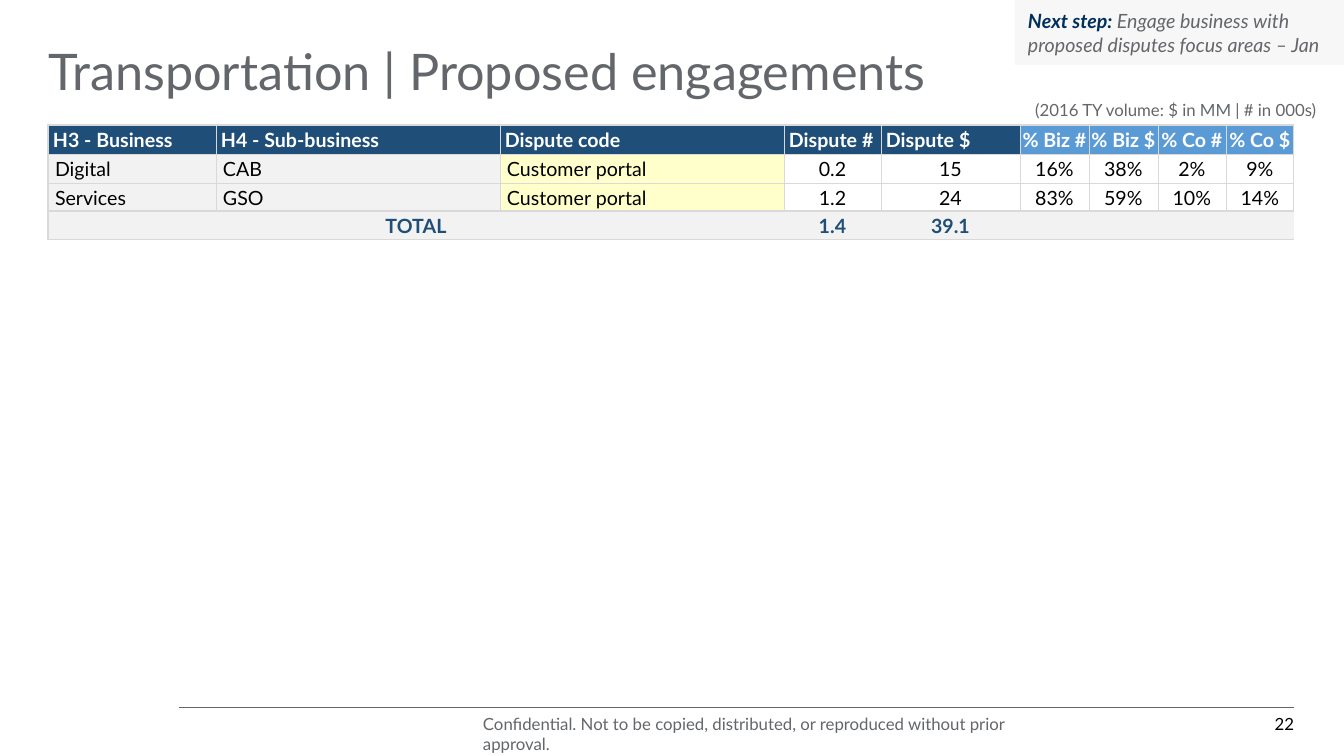
from lxml.etree import SubElement
from pptx import Presentation
from pptx.dml.color import RGBColor
from pptx.enum.shapes import MSO_CONNECTOR, MSO_SHAPE
from pptx.enum.text import MSO_ANCHOR, PP_ALIGN
from pptx.oxml.ns import qn
from pptx.util import Emu, Pt

GRAY, BLACK, WHITE = "63666A", "000000", "FFFFFF"
NAVY, BLUE, PALE, YELLOW, BORDER = "1F4E78", "5B9BD5", "F2F2F2", "FFFFCC", "D9D9D9"
LEFT, CENTER, RIGHT = PP_ALIGN.LEFT, PP_ALIGN.CENTER, PP_ALIGN.RIGHT
SCALE = 914400 / 100.8


def px(*lengths):
    return [Emu(round(length * SCALE)) for length in lengths]


def write(para, align, size, runs):
    para.alignment = align
    for text, color, bold, italic in runs:
        span = para.add_run()
        span.text = text
        span.font.name = "Lato"
        span.font.size = Pt(size)
        span.font.bold = bold
        span.font.italic = italic
        span.font.color.rgb = RGBColor.from_string(color)


deck = Presentation()
deck.slide_width, deck.slide_height = px(1344, 756)
page = deck.slides.add_slide(deck.slide_layouts[6])

footer_line = page.shapes.add_connector(MSO_CONNECTOR.STRAIGHT, *px(179, 707, 1294, 707))
footer_line.line.color.rgb = RGBColor.from_string(GRAY)
footer_line.line.width = Pt(0.25)
SubElement(footer_line._element.spPr, qn("a:effectLst"))

column_widths = [168, 284, 284, 97, 139, 69, 69, 68, 68]
row_heights = [29, 29, 28, 29]
table_rows = [
    ["H3 - Business", "H4 - Sub-business", "Dispute code", "Dispute #", "Dispute $",
     "% Biz #", "% Biz $", "% Co #", "% Co $"],
    ["Digital", "CAB", "Customer portal", "0.2", "15", "16%", "38%", "2%", "9%"],
    ["Services", "GSO", "Customer portal", "1.2", "24", "83%", "59%", "10%", "14%"],
    ["TOTAL", "", "", "1.4", "39.1", "", "", "", ""],
]
last_row, last_column = len(row_heights) - 1, len(column_widths) - 1

frame = page.shapes.add_table(
    len(row_heights), len(column_widths),
    *px(48, 125, sum(column_widths), sum(row_heights)))
table = frame.table
table.first_row = table.horz_banding = False
for column, width in zip(table.columns, px(*column_widths)):
    column.width = width
for row, height in zip(table.rows, px(*row_heights)):
    row.height = height
for first, last in [(0, 2), (5, 6), (7, 8)]:
    table.cell(last_row, first).merge(table.cell(last_row, last))

for row_index, values in enumerate(table_rows):
    header, total = row_index == 0, row_index == last_row
    for column_index, value in enumerate(values):
        cell = table.cell(row_index, column_index)
        align, indent = CENTER, 1
        if header:
            fill, color = (NAVY if column_index < 5 else BLUE), WHITE
            if column_index < 5:
                align, indent = LEFT, 5
        elif total:
            fill, color = PALE, NAVY
        else:
            fill, color = [PALE, PALE, YELLOW, None][min(column_index, 3)], BLACK
            if column_index < 3:
                align, indent = LEFT, 7
        cell.margin_left, cell.margin_top, cell.margin_right, cell.margin_bottom = px(indent, 1, 1, 0)
        cell.vertical_anchor = MSO_ANCHOR.MIDDLE
        para = cell.text_frame.paragraphs[0]
        if value:
            write(para, align, 14, [(value, color, header or total, False)])
        else:
            SubElement(para._p, qn("a:endParaRPr"), sz="1400")

        widths = {
            "a:lnL": 1 if column_index == 0 else 0 if total else 0.5,
            "a:lnR": 0 if total else 1 if column_index == last_column else 0.5,
            "a:lnT": 1 if header or total else 0.5,
            "a:lnB": 1 if row_index >= last_row - 1 else 0.5,
        }
        properties = cell._tc.get_or_add_tcPr()
        for tag, width in widths.items():
            edge = SubElement(properties, qn(tag), w=str(Pt(width)))
            if width:
                solid = SubElement(edge, qn("a:solidFill"))
                SubElement(solid, qn("a:srgbClr"), val=BORDER)
            else:
                SubElement(edge, qn("a:noFill"))
        if fill:
            cell.fill.solid()
            cell.fill.fore_color.rgb = RGBColor.from_string(fill)
        else:
            cell.fill.background()

panels = [
    (MSO_SHAPE.RECTANGLE, (1015, 100, 322, 20), WHITE),
    (MSO_SHAPE.RECTANGLE, (1015, 0, 329, 65), "F7F7F7"),
]
for kind, place, fill in panels:
    panel = page.shapes.add_shape(kind, *px(*place))
    panel.shadow.inherit = False
    panel.fill.solid()
    panel.fill.fore_color.rgb = RGBColor.from_string(fill)
    panel.line.fill.background()

texts = [
    ((48, 24, 1101, 101), LEFT, 36, MSO_ANCHOR.MIDDLE,
     [("Transportation | Proposed engagements", GRAY, False, False)]),
    ((1015, 100, 322, 20), CENTER, 12, MSO_ANCHOR.TOP,
     [("(2016 TY volume: $ in MM | # in 000s)", GRAY, False, False)]),
    ((1028, 9, 308, 47), LEFT, 14, MSO_ANCHOR.TOP,
     [("Next step: ", "002F5C", True, True),
      ("Engage business with proposed disputes focus areas – Jan", GRAY, False, True)]),
    ((483, 714, 569, 20), LEFT, 12, MSO_ANCHOR.TOP,
     [("Confidential. Not to be copied, distributed, or reproduced without prior approval.",
       GRAY, False, False)]),
    ((1258, 714, 36, 20), RIGHT, 12, MSO_ANCHOR.TOP, [("22", BLACK, False, False)]),
]
for place, align, size, anchor, runs in texts:
    box = page.shapes.add_textbox(*px(*place))
    body = box.text_frame
    body.word_wrap = True
    body.vertical_anchor = anchor
    body.margin_left = body.margin_top = body.margin_right = body.margin_bottom = 0
    para = body.paragraphs[0]
    if size == 36:
        para.line_spacing = 0.9
    write(para, align, size, runs)

deck.save("out.pptx")
